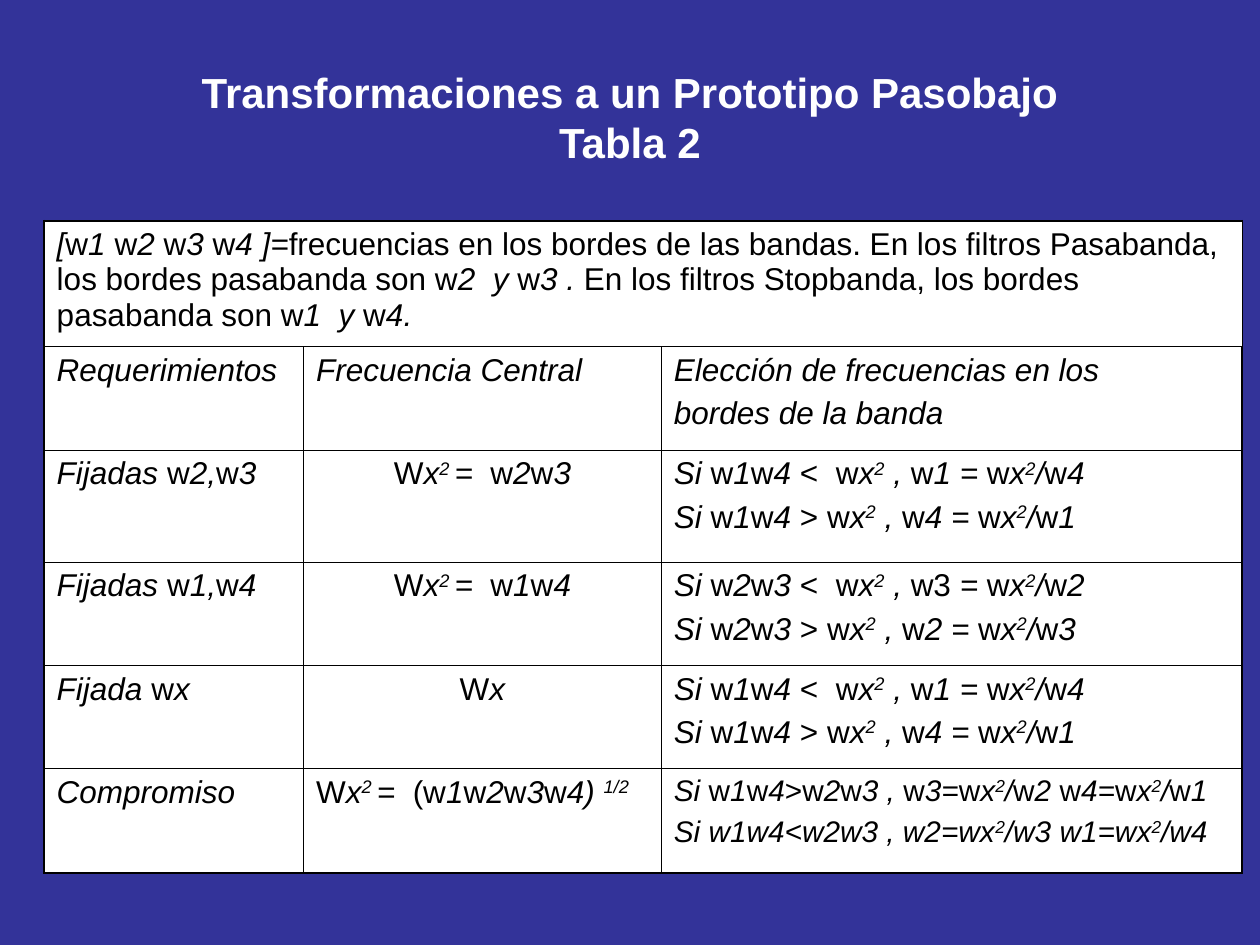
from lxml import etree
from pptx import Presentation
from pptx import util as u
from pptx.dml.color import RGBColor
from pptx.enum import text
from pptx.oxml import ns

COLORS = {"background": "333399", "title": "FFFFFF", "cell": "FFFFFF", "ink": "000000"}
FONT = "Arial"
COLUMN_WIDTHS = [5.23, 7.21, 11.71]
ROW_HEIGHTS = [2.54, 2.08, 2.26, 2.08, 2.08, 2.11]
OUTER_LINE, INNER_LINE = 1.08, 0.45


def condition(low, high, sign, edge, divisor):
    """Return the markup of one rule for choosing a band edge."""
    return f"Si _w_{low}_w_{high} _{sign}w_x^2^ , _w_{edge} =_ w_x^2^/_w_{divisor}"


def table_rows():
    """Return the cells as lists of paragraphs, where _ toggles italics and ^ superscript."""
    fixed_outer = [condition(1, 4, "<  ", 1, 4), condition(1, 4, "> ", 4, 1)]
    fixed_inner = [condition(2, 3, "<  ", "_3_", 2), condition(2, 3, "> ", 2, 3)]
    return [
        [["[_w_1 _w_2_ w_3_ w_4 ]=_frecuencias en los bordes de las bandas. "
          "En los filtros Pasabanda, los bordes pasabanda son w_2  y _w_3 . _"
          "En los filtros Stopbanda, los bordes pasabanda son w_1  y_ w_4."]],
        [["Requerimientos"], ["Frecuencia Central"],
         ["Elección de frecuencias en los", "bordes de la banda"]],
        [["Fijadas _w_2,_w_3"], ["_W_x^2 ^= _ w_2_w_3"], fixed_outer],
        [["Fijadas _w_1,_w_4"], ["_W_x^2 ^= _ w_1_w_4"], fixed_inner],
        [["Fijada _w_x"], ["_W_x"], fixed_outer],
        [["Compromiso"], ["_W_x^2 ^= _ (w_1_w_2_w_3_w_4) ^1/2^"],
         ["Si _w_1_w_4_>w_2_w_3 , _w_3=_w_x^2^/_w_2 _w_4=_w_x^2^/_w_1",
          "Si w1w4<w2w3 , w2=wx^2^/w3 w1=wx^2^/w4"]],
    ]


def add_span(para, words, size, color):
    """Add one run in the slide font and return it."""
    span = para.add_run()
    span.text = words
    span.font.name = FONT
    span.font.size = u.Pt(size)
    span.font.color.rgb = RGBColor.from_string(COLORS[color])
    return span


def add_markup(para, markup, size):
    """Add the runs of a paragraph that starts in italics."""
    italic, raised = True, False
    for piece in markup.replace("_", "|_|").replace("^", "|^|").split("|"):
        if piece == "_":
            italic = not italic
        elif piece == "^":
            raised = not raised
        elif piece:
            span = add_span(para, piece, size, "ink")
            span.font.italic = italic
            if raised:
                span.font._element.set("baseline", "30000")


def add_title(page, lines):
    """Add the centred bold heading."""
    box = page.shapes.add_textbox(u.Cm(1.27), u.Cm(0.76), u.Cm(22.86), u.Cm(3.18))
    frame = box.text_frame
    frame.word_wrap = True
    frame.vertical_anchor = text.MSO_ANCHOR.MIDDLE
    para = frame.paragraphs[0]
    para.alignment = text.PP_ALIGN.CENTER
    for index, line in enumerate(lines):
        if index:
            para.add_line_break()
        add_span(para, line, 24, "title").font.bold = True


def style_cell(cell, row, column):
    """Draw the cell borders, heavier on the table edge, and fill the cell."""
    edges = {"lnL": column == 0, "lnR": column == len(COLUMN_WIDTHS) - 1,
             "lnT": row == 0, "lnB": row == len(ROW_HEIGHTS) - 1}
    properties = cell._tc.get_or_add_tcPr()
    for tag, outer in edges.items():
        width = u.Pt(OUTER_LINE if outer else INNER_LINE)
        line = etree.SubElement(properties, ns.qn(f"a:{tag}"), w=str(int(width)))
        paint = etree.SubElement(line, ns.qn("a:solidFill"))
        etree.SubElement(paint, ns.qn("a:srgbClr"), val=COLORS["ink"])
    cell.fill.solid()
    cell.fill.fore_color.rgb = RGBColor.from_string(COLORS["cell"])


def fill_cell(cell, lines, size, centred):
    """Write the paragraphs of one cell."""
    frame = cell.text_frame
    for index, markup in enumerate(lines):
        para = frame.add_paragraph() if index else frame.paragraphs[0]
        para.space_before = u.Pt(size / 4)
        para.alignment = text.PP_ALIGN.CENTER if centred else text.PP_ALIGN.LEFT
        add_markup(para, markup, size)


def add_frequency_table(page):
    """Add the table of band edge transformations."""
    table = page.shapes.add_table(
        len(ROW_HEIGHTS), len(COLUMN_WIDTHS), u.Cm(0.89), u.Cm(4.45),
        u.Cm(sum(COLUMN_WIDTHS)), u.Cm(sum(ROW_HEIGHTS))).table
    table.first_row = table.horz_banding = False
    for column, width in zip(table.columns, COLUMN_WIDTHS):
        column.width = u.Cm(width)
    for row, height in zip(table.rows, ROW_HEIGHTS):
        row.height = u.Cm(height)
    last_row, last_column = len(ROW_HEIGHTS) - 1, len(COLUMN_WIDTHS) - 1
    table.cell(0, 0).merge(table.cell(0, last_column))
    for row in range(len(ROW_HEIGHTS)):
        for column in range(len(COLUMN_WIDTHS)):
            style_cell(table.cell(row, column), row, column)
    for row, cells in enumerate(table_rows()):
        for column, lines in enumerate(cells):
            size = 17 if (row, column) == (last_row, last_column) else 18
            centred = column == 1 and 1 < row < last_row
            fill_cell(table.cell(row, column), lines, size, centred)


def main():
    """Build and save the slide."""
    deck = Presentation()
    deck.slide_width, deck.slide_height = u.Cm(25.4), u.Cm(19.05)
    page = deck.slides.add_slide(deck.slide_layouts[6])
    page.background.fill.solid()
    page.background.fill.fore_color.rgb = RGBColor.from_string(COLORS["background"])
    add_title(page, ["Transformaciones a un Prototipo Pasobajo", "Tabla 2"])
    add_frequency_table(page)
    deck.save("out.pptx")


if __name__ == "__main__":
    main()
